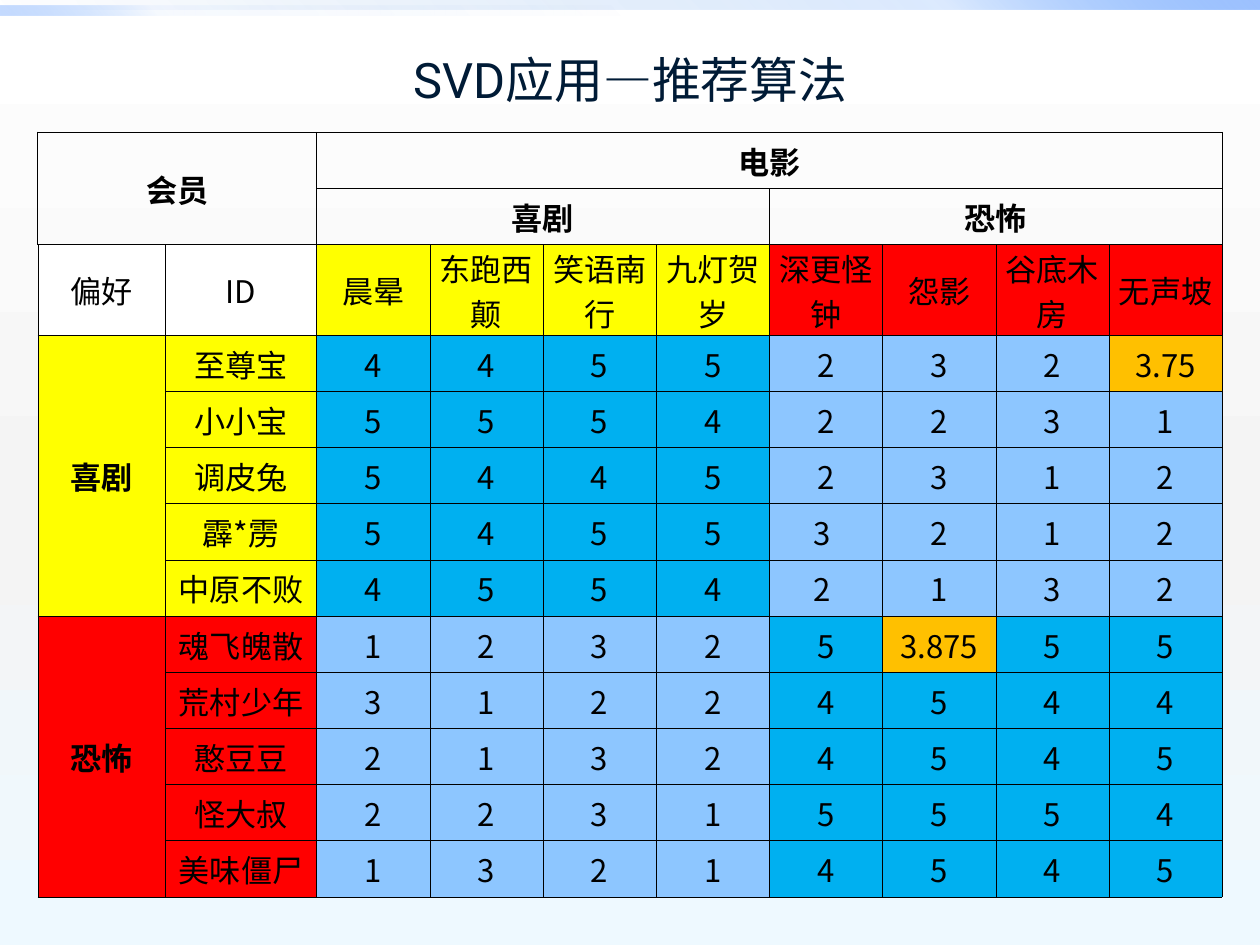
from lxml import etree
from pptx import Presentation
from pptx.dml.color import RGBColor
from pptx.enum.shapes import MSO_SHAPE
from pptx.enum.text import MSO_ANCHOR, PP_ALIGN
from pptx.oxml.ns import qn
from pptx.util import Pt

RECTANGLE = MSO_SHAPE.RECTANGLE
MIDDLE = MSO_ANCHOR.MIDDLE
CENTER = PP_ALIGN.CENTER

THEME = {
    "title_font": "Roboto", "body_font": "Noto Sans CJK SC",
    "title_size": Pt(44), "body_size": Pt(28),
    "title": "001B36", "text": "000000", "border": "000000",
    "plain": "FFFFFF", "喜剧": "FFFF00", "恐怖": "FF0000",
    "liked": "00B0F0", "disliked": "8DC6FF", "predicted": "FFC000",
    "background": [(0, "FFFFFF", 100), (55, "F4F4F4", 100), (100, "EEF9FF", 100)],
    "top_bar": [(0, "0058B7", 0), (75, "4F95FF", 20), (100, "9EC2FF", 100)],
    "left_bar": [(0, "0058B7", 0), (75, "4F95FF", 5), (100, "9EC2FF", 60)],
}


def apply_gradient(fill, owner, stops, angle):
    fill.gradient()
    fill.gradient_angle = angle
    stop_list = owner.find(".//" + qn("a:gsLst"))
    for stop in list(stop_list):
        stop_list.remove(stop)
    for position, color, opacity in stops:
        stop = etree.SubElement(stop_list, qn("a:gs"), pos=str(position * 1000))
        rgb = etree.SubElement(stop, qn("a:srgbClr"), val=color)
        etree.SubElement(rgb, qn("a:alpha"), val=str(opacity * 1000))


def write_text(text_frame, text, color, **font_format):
    paragraph = text_frame.paragraphs[0]
    paragraph.alignment = CENTER
    run = paragraph.add_run()
    run.text = text
    for name, value in font_format.items():
        setattr(run.font, name, value)
    run.font.color.rgb = RGBColor.from_string(color)
    etree.SubElement(run.font._element, qn("a:ea"), typeface=THEME["body_font"])


presentation = Presentation()
presentation.slide_width, presentation.slide_height = Pt(1134), Pt(850.5)
slide = presentation.slides.add_slide(presentation.slide_layouts[5])
apply_gradient(slide.background.fill, slide.element, THEME["background"], 270)

for top, width, height, stops, angle in [
    (0, 1134, 8.9, "top_bar", 45),
    (5, 567, 8.9, "left_bar", 225),
]:
    bar = slide.shapes.add_shape(RECTANGLE, 0, Pt(top), Pt(width), Pt(height))
    bar.shadow.inherit = False
    bar.line.fill.background()
    apply_gradient(bar.fill, bar.element, THEME[stops], angle)

title = slide.shapes.title
for name, value in {"left": 57, "top": 0, "width": 1021, "height": 142}.items():
    setattr(title, name, Pt(value))
title.text_frame.vertical_anchor = MIDDLE
write_text(title.text_frame, "SVD应用—推荐算法", THEME["title"],
           name=THEME["title_font"], size=THEME["title_size"])

HEADER_ROWS, LABEL_COLUMNS, GENRE_COLUMNS, GENRE_ROWS = 3, 2, 4, 5
rows = [
    ["会员", "", "电影", "", "", "", "", "", "", ""],
    ["", "", "喜剧", "", "", "", "恐怖", "", "", ""],
    ["偏好", "ID", "晨晕", "东跑西颠", "笑语南行", "九灯贺岁",
     "深更怪钟", "怨影", "谷底木房", "无声坡"],
    ["喜剧", "至尊宝", "4", "4", "5", "5", "2", "3", "2", "3.75"],
    ["", "小小宝", "5", "5", "5", "4", "2", "2", "3", "1"],
    ["", "调皮兔", "5", "4", "4", "5", "2", "3", "1", "2"],
    ["", "霹*雳", "5", "4", "5", "5", "3 ", "2", "1", "2"],
    ["", "中原不败", "4", "5", "5", "4", "2 ", "1", "3", "2"],
    ["恐怖", "魂飞魄散", "1", "2", "3", "2", "5", "3.875", "5", "5"],
    ["", "荒村少年", "3", "1", "2", "2", "4", "5", "4", "4"],
    ["", "憨豆豆", "2", "1", "3", "2", "4", "5", "4", "5"],
    ["", "怪大叔", "2", "2", "3", "1", "5", "5", "5", "4"],
    ["", "美味僵尸", "1", "3", "2", "1", "4", "5", "4", "5"],
]
column_widths = [115, 136] + [101.9] * 8
row_heights = [50.55, 50.55, 70.5] + [50.55] * 10
table = slide.shapes.add_table(
    len(rows), len(column_widths), Pt(34), Pt(119),
    Pt(sum(column_widths)), Pt(sum(row_heights))).table
table.first_row = table.horz_banding = False
for column, width in zip(table.columns, column_widths):
    column.width = Pt(width)
for row, height in zip(table.rows, row_heights):
    row.height = Pt(height)

cell_format = {
    "margin_left": Pt(0.75), "margin_right": Pt(0.75),
    "margin_top": Pt(0.75), "margin_bottom": 0, "vertical_anchor": MIDDLE,
}
for row_index, texts in enumerate(rows):
    for column_index, text in enumerate(texts):
        cell = table.cell(row_index, column_index)
        for name, value in cell_format.items():
            setattr(cell, name, value)

        in_member_rows = row_index < 2
        in_member_columns = column_index < LABEL_COLUMNS
        in_member = in_member_rows and in_member_columns
        thick_sides = {
            "a:lnL": in_member_rows and column_index <= LABEL_COLUMNS,
            "a:lnR": in_member,
            "a:lnT": in_member_columns and row_index <= 2,
            "a:lnB": in_member,
        }
        properties = cell._tc.get_or_add_tcPr()
        for side, thick in thick_sides.items():
            border = etree.SubElement(
                properties, qn(side), w=str(Pt(1) if thick else Pt(0.5)))
            solid = etree.SubElement(border, qn("a:solidFill"))
            etree.SubElement(solid, qn("a:srgbClr"), val=THEME["border"])

        movie_genre = "喜剧" if column_index < LABEL_COLUMNS + GENRE_COLUMNS else "恐怖"
        member_genre = "喜剧" if row_index < HEADER_ROWS + GENRE_ROWS else "恐怖"
        if in_member_rows:
            cell.fill.background()
        else:
            if row_index == 2:
                fill = "plain" if in_member_columns else movie_genre
            elif in_member_columns:
                fill = member_genre
            elif "." in text:
                fill = "predicted"
            else:
                fill = "liked" if movie_genre == member_genre else "disliked"
            cell.fill.solid()
            cell.fill.fore_color.rgb = RGBColor.from_string(THEME[fill])

        if text:
            write_text(cell.text_frame, text, THEME["text"],
                       name=THEME["body_font"], size=THEME["body_size"],
                       bold=text in ("会员", "电影", "喜剧", "恐怖"))

for first_row, first_column, last_row, last_column in [
    (0, 0, 1, 1), (0, 2, 0, 9), (1, 2, 1, 5), (1, 6, 1, 9),
    (3, 0, 7, 0), (8, 0, 12, 0),
]:
    table.cell(first_row, first_column).merge(table.cell(last_row, last_column))

presentation.save("out.pptx")
